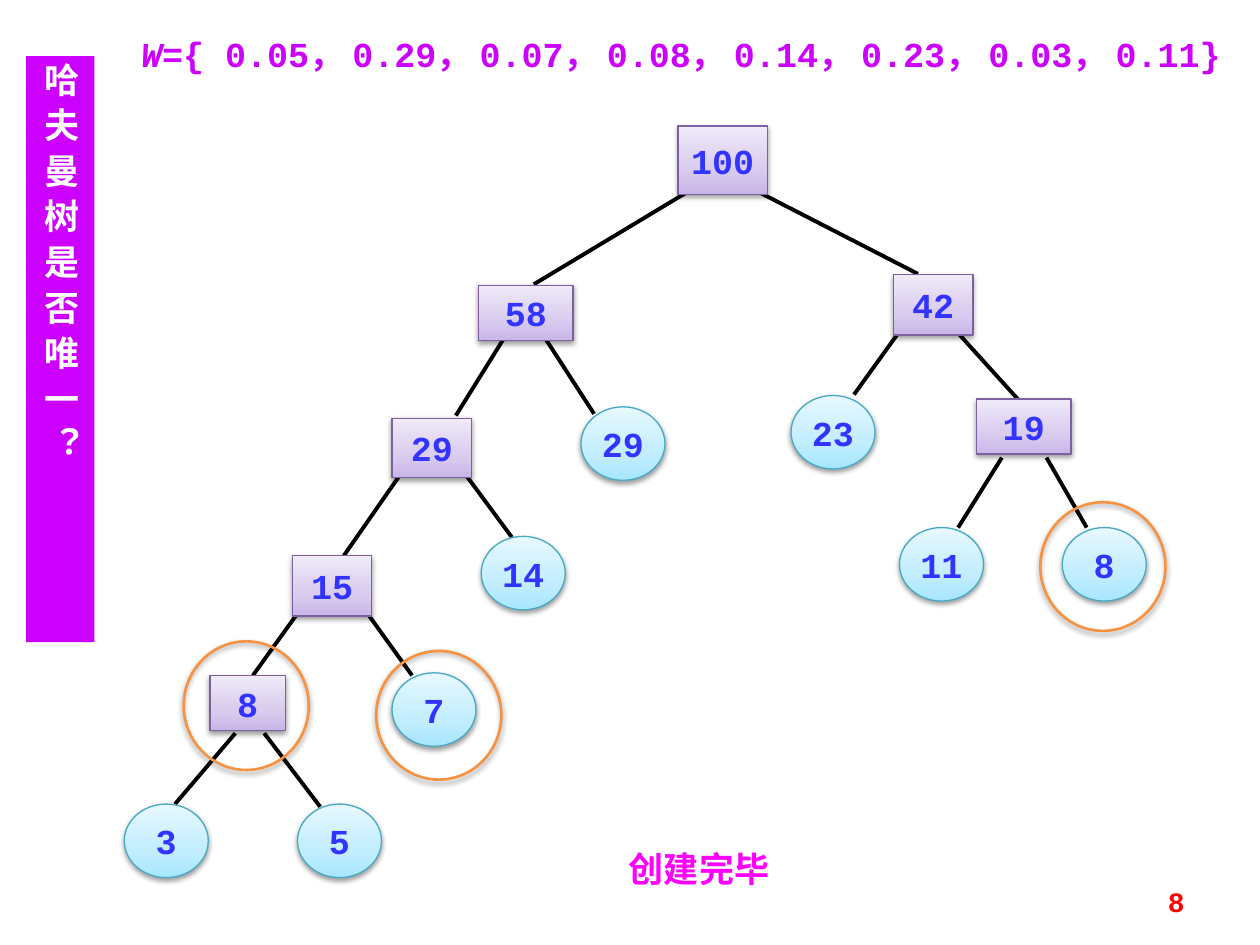
from copy import deepcopy

from lxml import etree
from pptx import Presentation
from pptx.dml.color import RGBColor
from pptx.enum.shapes import MSO_CONNECTOR, MSO_SHAPE
from pptx.enum.text import MSO_ANCHOR, PP_ALIGN
from pptx.oxml.ns import qn
from pptx.util import Pt

RECTANGLE, OVAL = MSO_SHAPE.RECTANGLE, MSO_SHAPE.OVAL
STRAIGHT = MSO_CONNECTOR.STRAIGHT
TOP, MIDDLE = MSO_ANCHOR.TOP, MSO_ANCHOR.MIDDLE
LEFT, CENTER, RIGHT = PP_ALIGN.LEFT, PP_ALIGN.CENTER, PP_ALIGN.RIGHT

THEME = {
    "latin": "Courier New", "chinese": "Noto Sans CJK SC",
    "body": 20, "number": 16,
    "purple": "CC00FF", "magenta": "FF00FF", "red": "FF0000",
    "white": "FFFFFF", "black": "000000", "value": "3333FF", "ring": "F69240",
    "branch": (("C9B5E8", "D8CBEE", "F0EAF9"), "7D60A0"),
    "leaf": (("A7E6FF", "C1EDFF", "E7F8FF"), "46AAC5"),
    "stops": (0, 0.35, 1),
}

TITLE = "哈夫曼树是否唯一？"
WEIGHTS = "={ 0.05， 0.29， 0.07， 0.08， 0.14， 0.23， 0.03， 0.11}"

BRANCHES = [
    ("100", 387.5, 72, 51, 39),
    ("58", 273.5, 163, 54, 31.5),
    ("42", 510.5, 157, 45.5, 34.5),
    ("29", 224, 239, 45.5, 34),
    ("19", 558, 228, 54, 31.5),
    ("15", 167, 317.5, 45.5, 34.5),
    ("8", 120, 386, 43, 31.5),
]
LEAF_SIZE = (48, 42)
LEAVES = [
    ("29", 332, 232.5), ("23", 452, 226), ("14", 275, 306.5), ("11", 514, 301.5),
    ("8", 607, 301.5), ("7", 224, 384.5), ("3", 71, 459.5), ("5", 170, 459.5),
]
EDGES = [
    (391.5, 110.5, 305, 162.5), (435, 110.5, 524.5, 156.5),
    (288.5, 192.5, 260.5, 237.5), (311, 192.5, 339.5, 236.5),
    (512.5, 191.5, 488, 225.5), (548.5, 191.5, 582, 228.5),
    (232, 266.5, 196.5, 317.5), (267, 272.5, 292.5, 307),
    (572.5, 261.5, 547.5, 301.5), (598, 261.5, 621, 301.5),
    (169, 352, 144.5, 386), (211, 352, 235.5, 386),
    (134.5, 419, 100, 459.5), (151, 419, 183, 461),
]
RING_SIZE = (71.5, 73.5)
RINGS = [(105, 366.5), (215, 372), (594.5, 287)]


def color(name):
    return RGBColor.from_string(THEME.get(name, name))


def points(*lengths):
    return [Pt(length) for length in lengths]


def write(shape, runs, tint, align, anchor, size="body", font="latin", wrap=True):
    frame = shape.text_frame
    frame.word_wrap = wrap
    frame.vertical_anchor = anchor
    paragraph = frame.paragraphs[0]
    paragraph.alignment = align
    for text, italic in runs:
        run = paragraph.add_run()
        run.text = text
        run.font.name = THEME[font]
        run.font.size = Pt(THEME[size])
        run.font.bold = True
        run.font.italic = italic
        run.font.color.rgb = color(tint)
        east_asian = etree.SubElement(run._r.get_or_add_rPr(), qn("a:ea"))
        east_asian.set("typeface", THEME["chinese"])
    return paragraph


def add_shadow(shape):
    shape.shadow.inherit = False
    effects = shape._element.spPr.find(qn("a:effectLst"))
    shadow = etree.SubElement(effects, qn("a:outerShdw"), blurRad=str(Pt(3.1)),
                              dist=str(Pt(1.6)), dir="5400000", rotWithShape="0")
    tint = etree.SubElement(shadow, qn("a:srgbClr"), val=THEME["black"])
    etree.SubElement(tint, qn("a:alpha"), val="38000")


def add_node(slide, kind, preset, text, *box):
    shades, outline = THEME[kind]
    node = slide.shapes.add_shape(preset, *points(*box))
    node.fill.gradient()
    stop_list = node._element.spPr.find(qn("a:gradFill")).find(qn("a:gsLst"))
    stop_list.append(deepcopy(stop_list[0]))
    node.fill.gradient_angle = 90
    for stop, position, shade in zip(node.fill.gradient_stops, THEME["stops"], shades):
        stop.position = position
        stop.color.rgb = color(shade)
    node.line.color.rgb = color(outline)
    node.line.width = Pt(0.75)
    add_shadow(node)
    write(node, [(text, False)], "value", CENTER, MIDDLE, wrap=False)


def add_edge(slide, *ends):
    edge = slide.shapes.add_connector(STRAIGHT, *points(*ends))
    edge.line.color.rgb = color("black")
    edge.line.width = Pt(2.25)
    etree.SubElement(edge._element.spPr, qn("a:effectLst"))


def add_ring(slide, *box):
    ring = slide.shapes.add_shape(OVAL, *points(*box))
    ring.fill.background()
    ring.line.color.rgb = color("ring")
    ring.line.width = Pt(1.5)
    add_shadow(ring)


def add_title(slide):
    title = slide.shapes.title
    title.left, title.top, title.width, title.height = points(15, 32, 39, 335)
    title.fill.solid()
    title.fill.fore_color.rgb = color("purple")
    paragraph = write(title, [(TITLE, False)], "white", LEFT, TOP, font="chinese")
    paragraph.space_before = Pt(0)
    paragraph.runs[0].font._element.set("spc", "600")
    title.text_frame._txBody.bodyPr.set("vert", "eaVert")


def add_text(slide, box, *arguments, **options):
    write(slide.shapes.add_textbox(*points(*box)), *arguments, **options)


def main():
    presentation = Presentation()
    presentation.slide_width, presentation.slide_height = points(720, 540)
    slide = presentation.slides.add_slide(presentation.slide_layouts[5])
    add_title(slide)
    add_text(slide, (73.5, 15, 646, 31.5), [("W", True), (WEIGHTS, False)],
             "purple", LEFT, TOP)
    for ends in EDGES:
        add_edge(slide, *ends)
    for branch in BRANCHES:
        add_node(slide, "branch", RECTANGLE, *branch)
    for leaf in LEAVES:
        add_node(slide, "leaf", OVAL, *leaf, *LEAF_SIZE)
    for corner in RINGS:
        add_ring(slide, *corner, *RING_SIZE)
    add_text(slide, (342.5, 481, 114, 31.5), [("创建完毕", False)],
             "magenta", CENTER, TOP)
    add_text(slide, (516, 500.5, 168, 29), [("8", False)],
             "red", RIGHT, MIDDLE, size="number")
    presentation.save("out.pptx")


if __name__ == "__main__":
    main()
